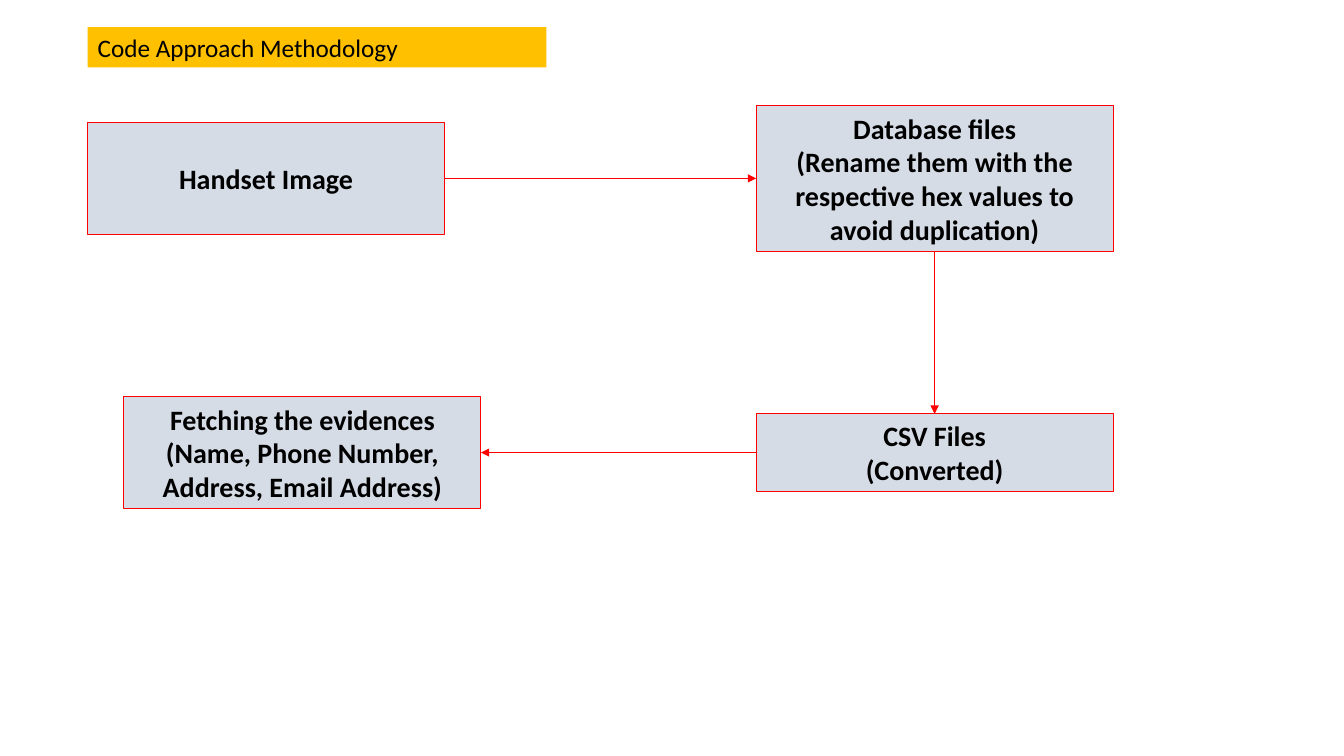
import pptx
import pptx.dml.color
import pptx.enum.shapes
import pptx.enum.text
import pptx.oxml
import pptx.oxml.ns
import pptx.util
from pptx.util import Inches

RGBColor = pptx.dml.color.RGBColor
AMBER = RGBColor(0xFF, 0xC0, 0x00)
PALE_BLUE = RGBColor(0xD6, 0xDC, 0xE5)
RED = RGBColor(0xFF, 0x00, 0x00)
BLACK = RGBColor(0x00, 0x00, 0x00)
ALIGN = pptx.enum.text.PP_ALIGN
TOP, LEFT, BOTTOM, RIGHT = range(4)
STEP_WIDTH = 3.54
LEFT_MARGIN, RIGHT_COLUMN = 0.87, 7.5
UPPER_ROW, LOWER_ROW = 1.77, 4.49


def write_text(frame, text, size=20, bold=True, align=ALIGN.CENTER, font="Calibri"):
    """Fill a frame; a newline starts a paragraph, a vertical tab breaks a line."""
    frame.word_wrap = True
    frame.vertical_anchor = pptx.enum.text.MSO_ANCHOR.MIDDLE
    for index, line in enumerate(text.split("\n")):
        paragraph = frame.add_paragraph() if index else frame.paragraphs[0]
        paragraph.text = line
        paragraph.alignment = align
        for run in paragraph.runs:
            run.font.name = font
            run.font.size = pptx.util.Pt(size)
            run.font.bold = bold
            run.font.color.rgb = BLACK


class FlowSlide:
    """Draws the heading, steps and arrows of a flow on one slide."""

    def __init__(self, slide):
        """Keep the slide to draw on and the outline style."""
        self.shapes = slide.shapes
        self.outline = RED

    def block(self, left, top, width, height, fill):
        """Add a plain filled rectangle."""
        block = self.shapes.add_shape(
            pptx.enum.shapes.MSO_SHAPE.RECTANGLE,
            Inches(left), Inches(top), Inches(width), Inches(height))
        block.shadow.inherit = False
        block.fill.solid()
        block.fill.fore_color.rgb = fill
        block.line.fill.background()
        return block

    def heading(self, text):
        """Add the coloured heading bar."""
        bar = self.block(LEFT_MARGIN, 0.27, 4.55, 0.4, AMBER)
        write_text(bar.text_frame, text, size=18, bold=False, align=ALIGN.LEFT)

    def step(self, text, left, middle, height):
        """Add an outlined step centred on its row."""
        step = self.block(left, middle - height / 2, STEP_WIDTH, height, PALE_BLUE)
        step.line.color.rgb = self.outline
        step.line.width = pptx.util.Pt(0.75)
        write_text(step.text_frame, text)
        return step

    def arrow(self, source, source_side, target, target_side):
        """Join two steps with an arrow."""
        arrow = self.shapes.add_connector(
            pptx.enum.shapes.MSO_CONNECTOR.STRAIGHT, 0, 0, 0, 0)
        arrow.begin_connect(source, source_side)
        arrow.end_connect(target, target_side)
        arrow.line.color.rgb = self.outline
        arrow.line.width = pptx.util.Pt(0.5)
        head = pptx.oxml.parse_xml(
            f'<a:tailEnd {pptx.oxml.ns.nsdecls("a")} type="triangle"/>')
        arrow.line._get_or_add_ln().append(head)
        arrow._element.spPr.append(
            pptx.oxml.parse_xml(f'<a:effectLst {pptx.oxml.ns.nsdecls("a")}/>'))


def main():
    """Build and save the methodology slide."""
    deck = pptx.Presentation()
    deck.slide_width, deck.slide_height = Inches(13.33), Inches(7.5)
    flow = FlowSlide(deck.slides.add_slide(deck.slide_layouts[6]))

    flow.heading("Code Approach Methodology")
    device_image = flow.step("Handset Image", LEFT_MARGIN, UPPER_ROW, 1.11)
    database_files = flow.step(
        "Database files\n(Rename them with the respective hex values to avoid duplication)",
        RIGHT_COLUMN, UPPER_ROW, 1.45)
    csv_files = flow.step("CSV Files\n(Converted)", RIGHT_COLUMN, LOWER_ROW, 0.77)
    evidence = flow.step(
        "Fetching the evidences\v(Name, Phone Number, Address, Email Address)",
        1.23, LOWER_ROW, 1.11)

    flow.arrow(device_image, RIGHT, database_files, LEFT)
    flow.arrow(database_files, BOTTOM, csv_files, TOP)
    flow.arrow(csv_files, LEFT, evidence, RIGHT)
    deck.save("out.pptx")


if __name__ == "__main__":
    main()
